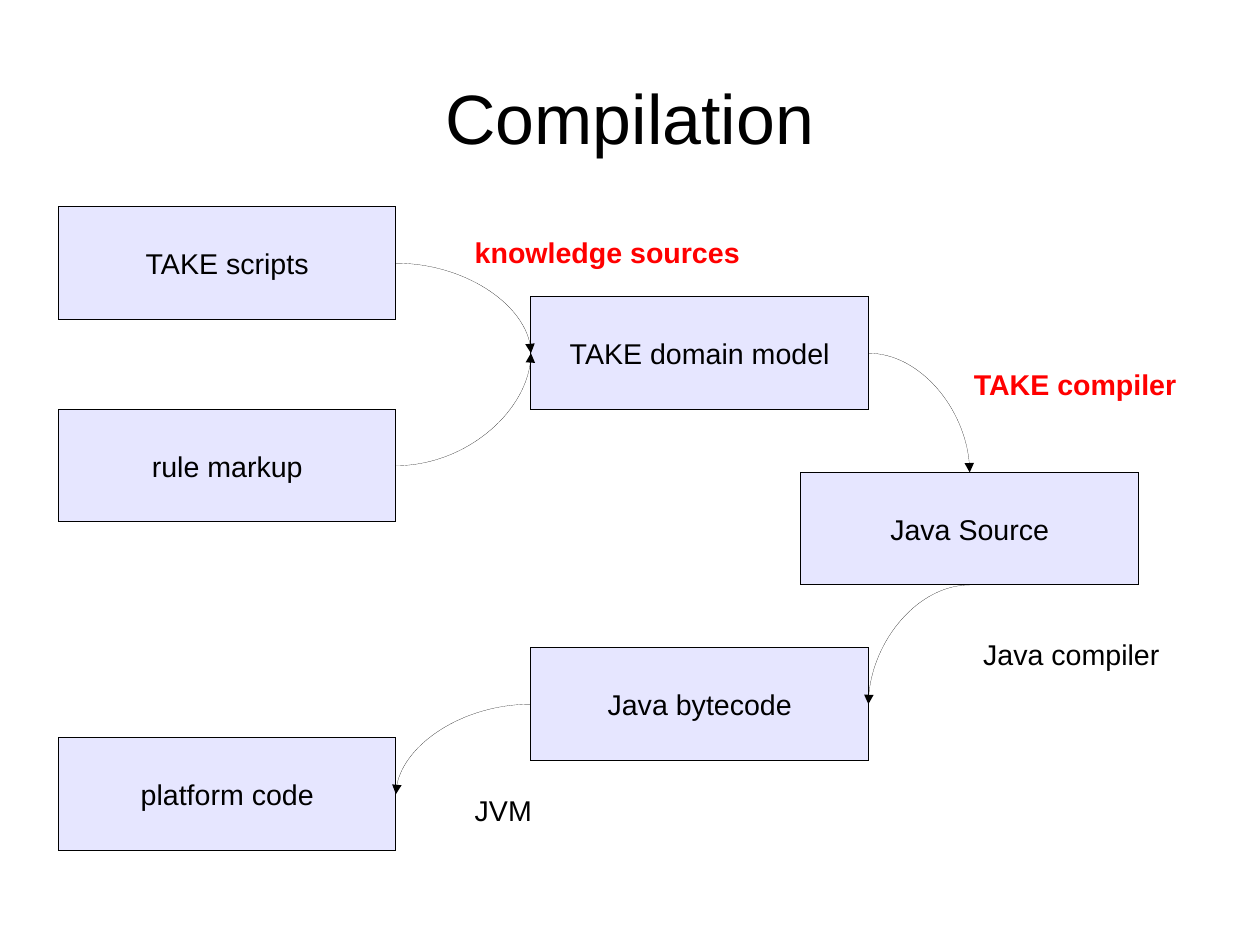
"""Build the Compilation slide, laid out on a centimetre grid, with boxes and curved arrows."""
from lxml.etree import SubElement
from pptx import Presentation
from pptx.dml.color import RGBColor
from pptx.enum.shapes import MSO_CONNECTOR, MSO_SHAPE
from pptx.enum.text import MSO_ANCHOR as Anchor, MSO_AUTO_SIZE as AutoSize, PP_ALIGN as Align
from pptx.oxml.ns import qn
from pptx.util import Inches, Pt

BLACK = RGBColor(0x00, 0x00, 0x00)
RED = RGBColor(0xFF, 0x00, 0x00)
LAVENDER = RGBColor(0xE6, 0xE6, 0xFF)
CM_PER_INCH = 2.54
BOX_WIDTH, BOX_HEIGHT = 7.5, 2.5


def write_text(shape, text, size=18, color=BLACK, bold=False, align=Align.LEFT,
               anchor=Anchor.TOP, wrap=True, margins=(0.1, 0.05)):
    frame = shape.text_frame
    frame.word_wrap = wrap
    frame.vertical_anchor = anchor
    frame.margin_left = frame.margin_right = Inches(margins[0])
    frame.margin_top = frame.margin_bottom = Inches(margins[1])
    paragraph = frame.paragraphs[0]
    paragraph.alignment = align
    run = paragraph.add_run()
    run.text = text
    run.font.name = "Arial"
    run.font.size = Pt(size)
    run.font.bold = bold
    run.font.color.rgb = color


def set_hairline(shape):
    shape.line.color.rgb = BLACK
    line = shape._element.spPr.find(qn("a:ln"))
    line.set("w", "0")
    return line


presentation = Presentation()
presentation.slide_width = Inches(28 / CM_PER_INCH)
presentation.slide_height = Inches(21 / CM_PER_INCH)
slide = presentation.slides.add_slide(presentation.slide_layouts[5])

title = slide.shapes.title
title.left, title.top, title.width, title.height = (
    Inches(length / CM_PER_INCH) for length in (1.4, 0.84, 25.2, 3.5))
write_text(title, "Compilation", size=44, align=Align.CENTER,
           anchor=Anchor.MIDDLE, margins=(0, 0))

boxes = {
    "TAKE domain model": (11.8, 6.6),
    "Java Source": (17.8, 10.5),
    "Java bytecode": (11.8, 14.4),
    "platform code": (1.3, 16.4),
    "TAKE scripts": (1.3, 4.6),
    "rule markup": (1.3, 9.1),
}
for name, (left, top) in boxes.items():
    frame = [Inches(length / CM_PER_INCH) for length in (left, top, BOX_WIDTH, BOX_HEIGHT)]
    box = slide.shapes.add_shape(MSO_SHAPE.RECTANGLE, *frame)
    box.shadow.inherit = False
    box.fill.solid()
    box.fill.fore_color.rgb = LAVENDER
    set_hairline(box)
    write_text(box, name, align=Align.CENTER, anchor=Anchor.MIDDLE)

sides = {"left": (0, 0.5), "right": (1, 0.5), "top": (0.5, 0), "bottom": (0.5, 1)}
arrows = [
    ("TAKE scripts", "right", "TAKE domain model", "left"),
    ("rule markup", "right", "TAKE domain model", "left"),
    ("TAKE domain model", "right", "Java Source", "top"),
    ("Java Source", "bottom", "Java bytecode", "right"),
    ("Java bytecode", "left", "platform code", "right"),
]
for source, source_side, target, target_side in arrows:
    ends = []
    for name, side in ((source, source_side), (target, target_side)):
        left, top = boxes[name]
        across, down = sides[side]
        ends += [Inches((left + across * BOX_WIDTH) / CM_PER_INCH),
                 Inches((top + down * BOX_HEIGHT) / CM_PER_INCH)]
    arrow = slide.shapes.add_connector(MSO_CONNECTOR.CURVE, *ends)
    properties = arrow._element.spPr
    properties.find(qn("a:prstGeom")).set("prst", "curvedConnector2")
    SubElement(set_hairline(arrow), qn("a:tailEnd"), type="triangle")
    SubElement(properties, qn("a:effectLst"))

labels = [
    ("knowledge sources", 10.3, 5.1, 6.6, RED),
    ("TAKE compiler", 21.39, 8.03, 5.3, RED),
    ("Java compiler", 21.6, 14.03, 4.67, BLACK),
    ("JVM", 10.3, 17.5, 1.78, BLACK),
]
for text, left, top, width, color in labels:
    frame = [Inches(length / CM_PER_INCH) for length in (left, top, width, 1.12)]
    label = slide.shapes.add_textbox(*frame)
    write_text(label, text, color=color, bold=color == RED, wrap=False)
    label.text_frame.auto_size = AutoSize.SHAPE_TO_FIT_TEXT

presentation.save("out.pptx")
